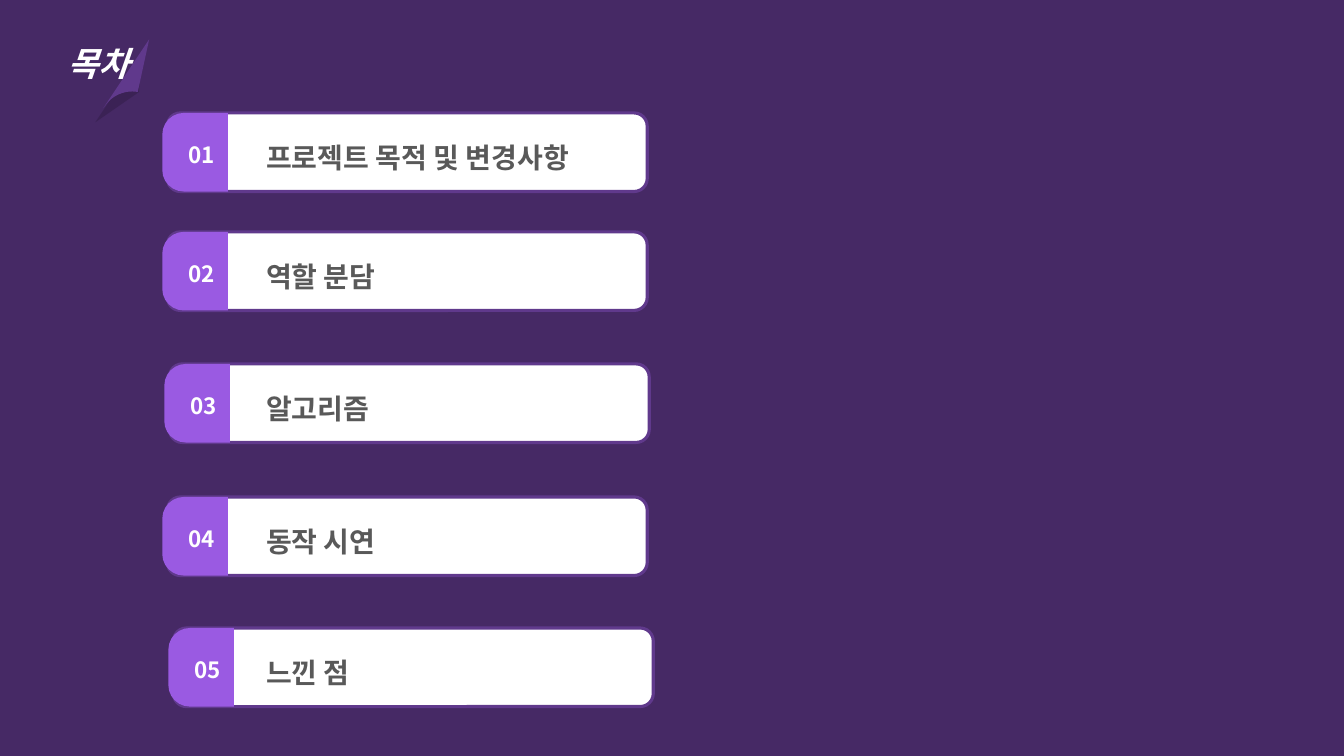
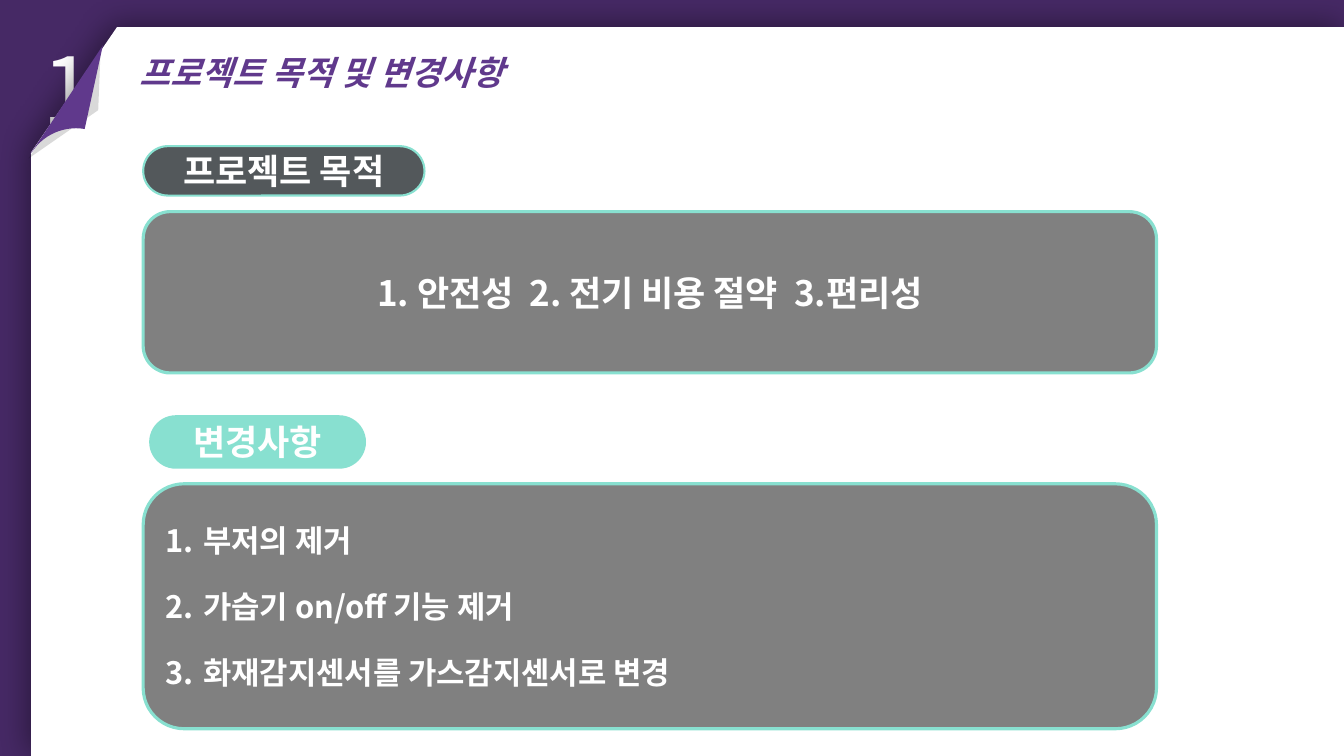
from dataclasses import dataclass

from lxml import etree
from pptx import Presentation
from pptx.dml.color import RGBColor
from pptx.enum import shapes, text
from pptx.oxml import ns
from pptx.util import Inches, Pt


@dataclass(frozen=True)
class Theme:
    font: str = "Noto Sans CJK KR"
    night: str = "462965"
    purple: str = "60398C"
    violet: str = "9A5AE2"
    mint: str = "88E0D0"
    slate: str = "53585B"
    gray: str = "808080"
    ink: str = "595959"
    white: str = "FFFFFF"
    black: str = "000000"
    chapter: int = 66
    heading: int = 25
    title: int = 24
    item: int = 22
    entry: int = 20
    number: int = 16


T = Theme()
ROUND = shapes.MSO_SHAPE.ROUNDED_RECTANGLE
CENTER = text.PP_ALIGN.CENTER
FOLD_ANGLE = 123.6


def rgb(color):
    return RGBColor.from_string(color)


def sub(parent, tag, **attrs):
    el = etree.SubElement(parent, ns.qn(tag))
    for name, value in attrs.items():
        el.set(name, str(value))
    return el


def add_run(p, words, size, color, bold=True, italic=False):
    r = p.add_run()
    r.text = words
    f = r.font
    f.name, f.size, f.bold, f.italic = T.font, Pt(size), bold, italic
    f.color.rgb = rgb(color)
    sub(r._r.get_or_add_rPr(), "a:ea", typeface=T.font)


def paint(sp, fill, line=None, width=0):
    sp.shadow.inherit = False
    sp.fill.solid()
    sp.fill.fore_color.rgb = rgb(fill)
    if line:
        sp.line.color.rgb = rgb(line)
        sp.line.width = Pt(width)
    else:
        sp.line.fill.background()


def add_shape(s, kind, box, fill, line=None, width=0, adj=()):
    sp = s.shapes.add_shape(kind, *map(Inches, box))
    paint(sp, fill, line, width)
    for i, value in enumerate(adj):
        sp.adjustments[i] = value
    return sp


def add_outline(s, points, fill):
    (x, y), *rest = points
    fb = s.shapes.build_freeform(Inches(x), Inches(y))
    fb.add_line_segments([(Inches(a), Inches(b)) for a, b in rest], close=True)
    sp = fb.convert_to_shape()
    paint(sp, fill)
    return sp


def add_text(s, box, words, size, color, align=None, spacing=None,
             wrap=True, **style):
    tf = s.shapes.add_textbox(*map(Inches, box)).text_frame
    tf.word_wrap = wrap
    p = tf.paragraphs[0]
    p.alignment, p.line_spacing = align, spacing
    add_run(p, words, size, color, **style)


def bezier(a, b, c, d, steps=12):
    """Points along a cubic curve, both ends included."""
    for i in range(steps + 1):
        t = i / steps
        weights = (1 - t) ** 3, 3 * t * (1 - t) ** 2, 3 * t * t * (1 - t), t ** 3
        yield tuple(sum(w * pt[k] for w, pt in zip(weights, (a, b, c, d)))
                    for k in (0, 1))


def add_page_fold(s, tip, scale, shadow_center):
    """Turned page corner hanging from its tip, over a faint shadow."""
    w, h = 1.29 * scale, 0.31 * scale
    cx, cy = shadow_center
    shade = add_shape(s, shapes.MSO_SHAPE.ISOSCELES_TRIANGLE,
                      (cx - w / 2, cy - h / 2, w, h), T.black, adj=[0.395])
    shade.rotation = FOLD_ANGLE
    color = shade.fill._xPr.find(ns.qn("a:solidFill"))[0]
    sub(color, "a:alpha", val=15000)

    curl = bezier((-0.18, 0.83), (-0.35, 0.8), (-0.53, 0.86), (-0.65, 0.99))
    offsets = [(0, 0), *curl, (-0.72, 1.08)]
    add_outline(s, [(tip[0] + x * scale, tip[1] + y * scale)
                    for x, y in offsets], T.purple)


def add_entry(s, number, words, x, y):
    """Contents row: white bar, violet tab with its number, and a label."""
    w, h, tab = 4.76, 0.78, 0.65
    add_shape(s, ROUND, (x, y, w, h), T.white, T.purple, 2.25)
    tab_x = x - 0.05 - (h - tab) / 2
    sp = add_shape(s, shapes.MSO_SHAPE.ROUND_2_SAME_RECTANGLE,
                   (tab_x, y + (h - tab) / 2, h, tab), T.violet,
                   adj=[0.328, 0])
    sp.rotation = 270
    add_text(s, (2.54, y + 0.06, 3.58, 0.54), words, T.entry, T.ink,
             spacing=1.5)
    add_text(s, (x + 0.11, y + 0.23, 0.46, 0.37), f"{number:02}", T.number,
             T.white, wrap=False)


def add_page(s, title):
    """White sheet with a cut corner, a soft shadow and the slide title."""
    sp = add_outline(s, [(1.16, 0.27), (13.33, 0.27), (13.33, 7.5),
                         (0.31, 7.5), (0.31, 1.51)], T.white)
    effects = sp._element.spPr.find(ns.qn("a:effectLst"))
    shadow = sub(effects, "a:outerShdw", blurRad=Pt(22), dist=Pt(3),
                 dir=225 * 60000, algn="br", rotWithShape=0)
    sub(sub(shadow, "a:srgbClr", val=T.black), "a:alpha", val=40000)
    tf = sp.text_frame
    tf.vertical_anchor = text.MSO_ANCHOR.TOP
    p = tf.paragraphs[0]
    p.alignment, p.line_spacing = text.PP_ALIGN.LEFT, 1.5
    p._p.get_or_add_pPr().set("marL", str(Inches(0.98)))
    add_run(p, title, T.title, T.purple, italic=True)


def add_panel(s, box, lines, size, numbered=False, fill=T.gray, width=2.25,
              adj=0.167):
    sp = add_shape(s, ROUND, box, fill, T.mint, width, [adj])
    tf = sp.text_frame
    tf.word_wrap = True
    tf.vertical_anchor = text.MSO_ANCHOR.MIDDLE
    for i, words in enumerate(lines):
        p = tf.add_paragraph() if i else tf.paragraphs[0]
        p.alignment = CENTER
        if numbered:
            p.alignment = text.PP_ALIGN.LEFT
            p.space_before = Pt(21 if i else 0)
            pPr = p._p.get_or_add_pPr()
            pPr.set("marL", str(Inches(0.38)))
            pPr.set("indent", str(Inches(-0.38)))
            sub(pPr, "a:buFont", typeface="+mj-lt")
            sub(pPr, "a:buAutoNum", type="arabicPeriod")
        add_run(p, words, size, T.white)
    return sp


def add_pill(s, box, words, fill):
    tf = add_panel(s, box, [words], T.heading, fill=fill, width=1.5,
                   adj=0.5).text_frame
    tf.margin_top = tf.margin_bottom = 0


def new_slide(prs):
    s = prs.slides.add_slide(prs.slide_layouts[6])
    s.background.fill.solid()
    s.background.fill.fore_color.rgb = rgb(T.night)
    return s


def build_contents(prs):
    s = new_slide(prs)
    add_page_fold(s, (1.48, 0.39), 0.63, (1.25, 0.93))
    add_text(s, (0.1, 0.38, 1.76, 0.5), "목차", T.title, T.white,
             align=CENTER, italic=True)
    entries = [("프로젝트 목적 및 변경사항", 1.66, 1.12),
               ("역할 분담", 1.66, 2.3),
               ("알고리즘", 1.68, 3.61),
               ("동작 시연", 1.66, 4.93),
               ("느낀 점", 1.72, 6.23)]
    for number, entry in enumerate(entries, 1):
        add_entry(s, number, *entry)


def build_purpose(prs):
    s = new_slide(prs)
    add_text(s, (0.32, 0.27, 0.98, 1.21), "1", T.chapter, T.white, bold=False)
    add_page(s, "프로젝트 목적 및 변경사항")
    add_page_fold(s, (1.02, 0.45), 1, (0.77, 1.12))
    add_panel(s, (1.42, 2.1, 10.05, 1.6),
              ["1. 안전성  2. 전기 비용 절약  3.편리성"], T.heading)
    add_pill(s, (1.42, 1.45, 2.79, 0.49), "프로젝트 목적", T.slate)
    add_panel(s, (1.42, 4.8, 10.05, 2.43),
              ["부저의 제거", "가습기 on/off 기능 제거",
               "화재감지센서를 가스감지센서로 변경"], T.item, numbered=True)
    add_pill(s, (1.49, 4.13, 2.13, 0.51), "변경사항", T.mint)


def main():
    prs = Presentation()
    prs.slide_width, prs.slide_height = Inches(13.33), Inches(7.5)
    build_contents(prs)
    build_purpose(prs)
    prs.save("out.pptx")


if __name__ == "__main__":
    main()
